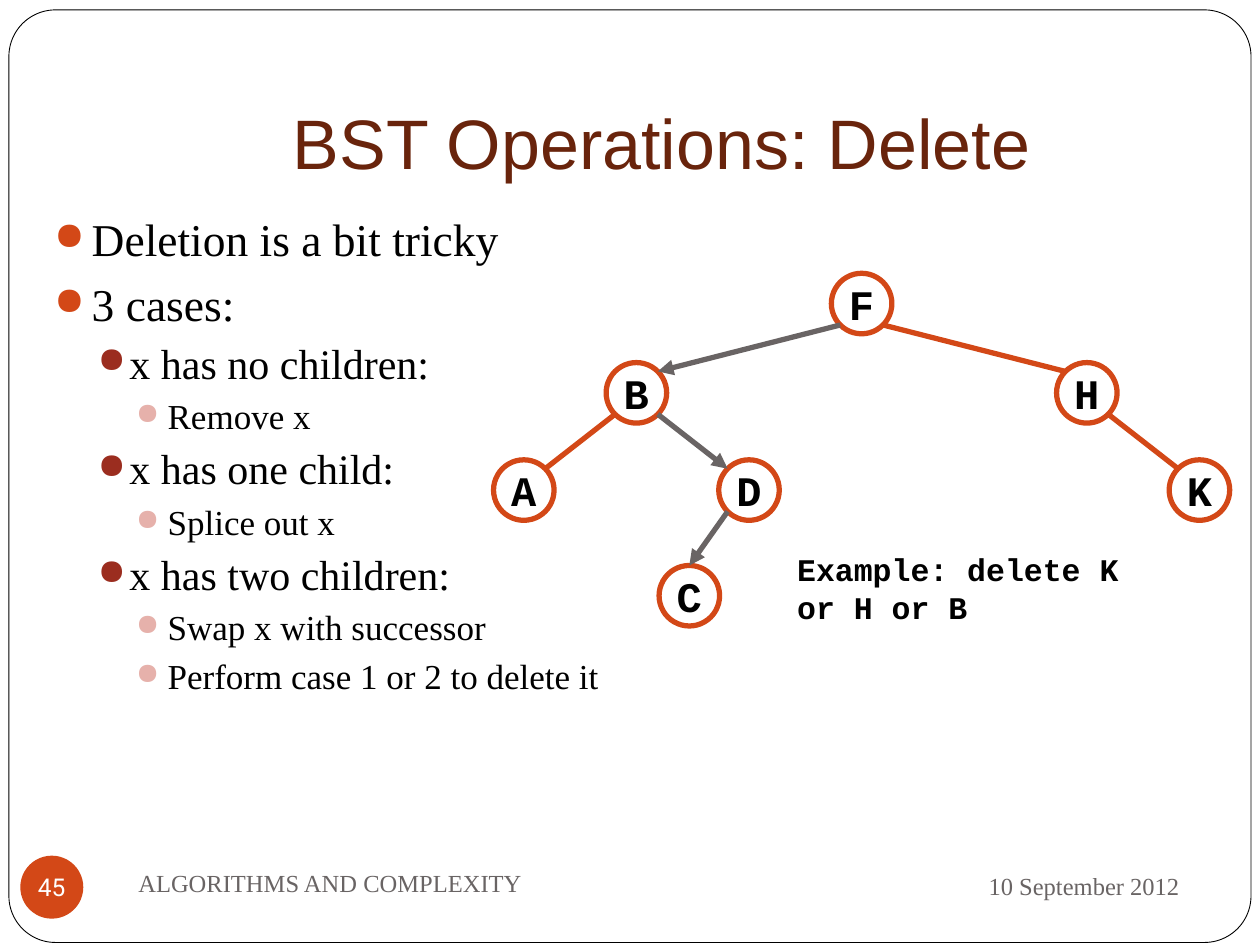
from dataclasses import dataclass
from math import sqrt

from lxml.etree import SubElement
from pptx import Presentation
from pptx.dml.color import RGBColor
from pptx.enum.shapes import MSO_CONNECTOR, MSO_SHAPE
from pptx.enum.text import MSO_ANCHOR, MSO_AUTO_SIZE, PP_ALIGN
from pptx.oxml.ns import qn
from pptx.util import Cm, Pt


@dataclass(frozen=True)
class Theme:
    accent: str = "D34817"
    title: str = "69240C"
    ink: str = "000000"
    muted: str = "696464"
    paper: str = "FFFFFF"
    heading_font: str = "Arial"
    body_font: str = "Times New Roman"
    code_font: str = "Courier New"
    number_font: str = "Roboto"
    title_size: int = 40
    node_size: int = 24
    example_size: int = 18
    footer_size: int = 14
    stroke: float = 3


@dataclass(frozen=True)
class Level:
    margin: float
    hanging: float
    before: float
    bullet: str
    size: int


@dataclass(frozen=True)
class Node:
    label: str
    x: float
    y: float


@dataclass(frozen=True)
class Edge:
    parent: str
    child: str
    visited: bool = False


THEME = Theme()
LEVELS = [
    Level(0.76, 0.76, 5.8, "D34817", 26),
    Level(1.52, 0.64, 3.8, "9B2D1F", 24),
    Level(2.29, 0.64, 3.8, "E6B1AB", 20),
]
BULLETS = [
    (0, "Deletion is a bit tricky"),
    (0, "3 cases:"),
    (1, "x has no children:"),
    (2, "Remove x"),
    (1, "x has one child:"),
    (2, "Splice out x"),
    (1, "x has two children:"),
    (2, "Swap x with successor"),
    (2, "Perform case 1 or 2 to delete it"),
]

# Tree grid in centimetres: node centres sit on equal columns
DIAMETER = 1.22
LEFT, STEP = 10.56, 2.27
ROWS = [6.12, 7.92, 9.88, 12.01]
NODES = [
    Node(label, LEFT + column * STEP, ROWS[row])
    for label, column, row in [
        ("F", 3, 0), ("B", 1, 1), ("H", 5, 1), ("K", 6, 2),
        ("D", 2, 2), ("A", 0, 2), ("C", 1.47, 3),
    ]
]
EDGES = [
    Edge("B", "A"), Edge("F", "H"), Edge("H", "K"),
    Edge("F", "B", True), Edge("B", "D", True), Edge("D", "C", True),
]


def color(value: str) -> RGBColor:
    return RGBColor.from_string(value)


def style(paragraph, font: str, size: float, ink: str, bold: bool = False) -> None:
    for span in paragraph.runs:
        span.font.name, span.font.size, span.font.bold = font, Pt(size), bold
        span.font.color.rgb = color(ink)


def add_shape(page, kind, left, top, width, height, fill, line=None, weight=0):
    shape = page.shapes.add_shape(kind, Cm(left), Cm(top), Cm(width), Cm(height))
    shape.shadow.inherit = False
    shape.fill.solid()
    shape.fill.fore_color.rgb = color(fill)
    if line:
        shape.line.color.rgb = color(line)
        shape.line.width = Pt(weight)
    else:
        shape.line.fill.background()
    return shape


def add_label(page, left, top, width, height, text, font, size, ink,
              align=PP_ALIGN.LEFT, bold=False) -> None:
    box = page.shapes.add_textbox(Cm(left), Cm(top), Cm(width), Cm(height))
    frame = box.text_frame
    frame.word_wrap, frame.vertical_anchor = True, MSO_ANCHOR.MIDDLE
    frame.text = text
    for paragraph in frame.paragraphs:
        paragraph.alignment = align
        style(paragraph, font, size, ink, bold)


def center_text(shape, text: str, font: str, size: float, ink: str, bold=False) -> None:
    frame = shape.text_frame
    frame.word_wrap, frame.vertical_anchor = False, MSO_ANCHOR.MIDDLE
    frame.text = text
    frame.paragraphs[0].alignment = PP_ALIGN.CENTER
    style(frame.paragraphs[0], font, size, ink, bold)


def add_bullets(page) -> None:
    box = page.shapes.add_textbox(Cm(0.84), Cm(4.01), Cm(23.29), Cm(12.7))
    frame = box.text_frame
    frame.word_wrap, frame.margin_top = True, Cm(0.25)
    for index, (depth, text) in enumerate(BULLETS):
        level = LEVELS[depth]
        paragraph = frame.add_paragraph() if index else frame.paragraphs[0]
        paragraph.text, paragraph.level = text, depth
        if index:
            paragraph.space_before = Pt(level.before)
        properties = paragraph._p.get_or_add_pPr()
        properties.set("marL", str(Cm(level.margin)))
        properties.set("indent", str(-Cm(level.hanging)))
        tint = SubElement(properties, qn("a:buClr"))
        SubElement(tint, qn("a:srgbClr"), val=level.bullet)
        SubElement(properties, qn("a:buSzPct"), val="85000")
        SubElement(properties, qn("a:buChar"), char="●")
        style(paragraph, THEME.body_font, level.size, THEME.ink)


def add_edge(page, edge: Edge, nodes: dict[str, Node], circles: dict) -> None:
    parent, child = nodes[edge.parent], nodes[edge.child]
    reach = DIAMETER / 2 / sqrt(2)  # diagonal point on a circle
    side = reach if child.x > parent.x else -reach
    line = page.shapes.add_connector(
        MSO_CONNECTOR.STRAIGHT,
        Cm(parent.x + side), Cm(parent.y + reach),
        Cm(child.x - side), Cm(child.y - reach),
    )
    if edge.child == "C":
        line.end_connect(circles["C"], 0)
    line.line.width = Pt(THEME.stroke)
    line.line.color.rgb = color(THEME.muted if edge.visited else THEME.accent)
    properties = line._element.spPr
    if edge.visited:
        SubElement(properties.find(qn("a:ln")), qn("a:tailEnd"), type="triangle")
    SubElement(properties, qn("a:effectLst"))


def add_tree(page) -> None:
    circles = {}
    for node in NODES:
        circle = add_shape(page, MSO_SHAPE.OVAL, node.x - DIAMETER / 2, node.y - DIAMETER / 2,
                           DIAMETER, DIAMETER, THEME.paper, THEME.accent, THEME.stroke)
        center_text(circle, node.label, THEME.code_font, THEME.node_size, THEME.ink, True)
        circles[node.label] = circle
    nodes = {node.label: node for node in NODES}
    for edge in EDGES:
        add_edge(page, edge, nodes, circles)


def main() -> None:
    deck = Presentation()
    deck.slide_width, deck.slide_height = Cm(25.4), Cm(19.05)
    page = deck.slides.add_slide(deck.slide_layouts[5])

    # Rounded page frame, behind the title
    border = add_shape(page, MSO_SHAPE.ROUNDED_RECTANGLE, 0.18, 0.2, 25.04, 18.8,
                       THEME.paper, THEME.ink, 0.5)
    border.adjustments[0] = 0.05
    title = page.shapes.title
    title._element.addprevious(border._element)

    # Title
    title.left, title.top, title.width, title.height = Cm(2.54), Cm(0.76), Cm(21.59), Cm(3.18)
    frame = title.text_frame
    frame.text = "BST Operations: Delete"
    frame.auto_size, frame.vertical_anchor = MSO_AUTO_SIZE.NONE, MSO_ANCHOR.BOTTOM
    frame.margin_bottom = Cm(0.25)
    frame.paragraphs[0].alignment = PP_ALIGN.CENTER
    style(frame.paragraphs[0], THEME.heading_font, THEME.title_size, THEME.title)

    # Content
    add_bullets(page)
    add_tree(page)
    add_label(page, 15.82, 10.87, 7.7, 1.96, "Example: delete K\vor H or B",
              THEME.code_font, THEME.example_size, THEME.ink, bold=True)

    # Footer
    add_label(page, 17.15, 17.2, 6.88, 1.32, "10 September 2012",
              THEME.body_font, THEME.footer_size, THEME.muted, PP_ALIGN.RIGHT)
    add_label(page, 2.54, 17.15, 11, 1.27, "ALGORITHMS AND COMPLEXITY",
              THEME.body_font, THEME.footer_size, THEME.muted)
    badge = add_shape(page, MSO_SHAPE.OVAL, 0.41, 17.25, 1.27, 1.27, THEME.accent)
    center_text(badge, "45", THEME.number_font, THEME.footer_size, THEME.paper)
    inset = badge.text_frame
    inset.margin_left = inset.margin_right = inset.margin_top = inset.margin_bottom = 0

    deck.save("out.pptx")


if __name__ == "__main__":
    main()
